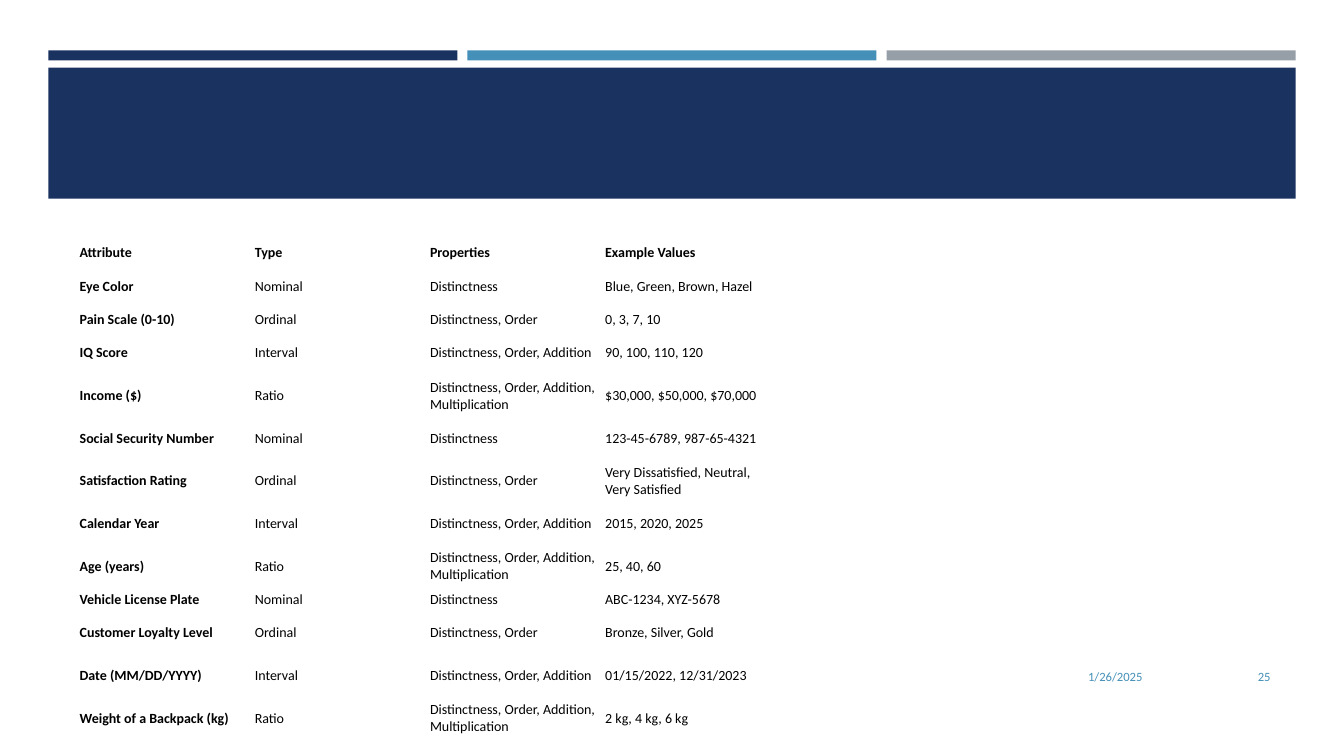
import pptx
import pptx.util
import pptx.dml.color
import pptx.enum.shapes
import pptx.enum.text

Inches = pptx.util.Inches
COLORS = {"navy": "1A3260", "blue": "4590B8", "gray": "969FA7", "text": "000000"}
FONT = "Calibri"
NAMES = "Distinctness", "Order", "Addition", "Multiplication"
# Each measurement type adds one more property
PROPERTIES = {
    kind: ", ".join(NAMES[:count])
    for count, kind in enumerate(("Nominal", "Ordinal", "Interval", "Ratio"), 1)
}
HEADINGS = "Attribute", "Type", "Properties", "Example Values"
ATTRIBUTES = [
    ("Eye Color", "Nominal", "Blue, Green, Brown, Hazel"),
    ("Pain Scale (0-10)", "Ordinal", "0, 3, 7, 10"),
    ("IQ Score", "Interval", "90, 100, 110, 120"),
    ("Income ($)", "Ratio", "$30,000, $50,000, $70,000"),
    ("Social Security Number", "Nominal", "123-45-6789, 987-65-4321"),
    ("Satisfaction Rating", "Ordinal", "Very Dissatisfied, Neutral, Very Satisfied"),
    ("Calendar Year", "Interval", "2015, 2020, 2025"),
    ("Age (years)", "Ratio", "25, 40, 60"),
    ("Vehicle License Plate", "Nominal", "ABC-1234, XYZ-5678"),
    ("Customer Loyalty Level", "Ordinal", "Bronze, Silver, Gold"),
    ("Date (MM/DD/YYYY)", "Interval", "01/15/2022, 12/31/2023"),
    ("Weight of a Backpack (kg)", "Ratio", "2 kg, 4 kg, 6 kg"),
]
SHORT_ROWS = {0, 2, 9}
SHORT_HEIGHT = 0.24


def rgb(name):
    return pptx.dml.color.RGBColor.from_string(COLORS[name])


def set_font(paragraph, size, color, bold=False):
    paragraph.font.name = FONT
    paragraph.font.size = pptx.util.Pt(size)
    paragraph.font.color.rgb = rgb(color)
    paragraph.font.bold = bold


def add_band(slide, box, color):
    band = slide.shapes.add_shape(
        pptx.enum.shapes.MSO_SHAPE.RECTANGLE, *map(Inches, box))
    band.shadow.inherit = False
    band.fill.solid()
    band.fill.fore_color.rgb = rgb(color)
    band.line.fill.background()


def add_header(slide, box):
    """Three accent bars above a full-width banner."""
    left, top, width, height = box
    gap, bar_height, banner_offset = 0.1, 0.1, 0.17
    bar_width = (width - 2 * gap) / 3
    for column, color in enumerate(("navy", "blue", "gray")):
        bar_left = left + column * (bar_width + gap)
        add_band(slide, (bar_left, top, bar_width, bar_height), color)
    add_band(slide, (left, top + banner_offset, width, height - banner_offset), "navy")


def add_attribute_table(slide, box):
    rows = [HEADINGS] + [
        (name, kind, PROPERTIES[kind], values) for name, kind, values in ATTRIBUTES]
    table = slide.shapes.add_table(
        len(rows), len(HEADINGS), *map(Inches, box)).table
    table.first_row = table.horz_banding = False
    # Tall rows share the height that the short rows leave
    tall_height = (box[3] - SHORT_HEIGHT * len(SHORT_ROWS)) / (len(rows) - len(SHORT_ROWS))
    for r, texts in enumerate(rows):
        table.rows[r].height = Inches(SHORT_HEIGHT if r in SHORT_ROWS else tall_height)
        for c, text in enumerate(texts):
            cell = table.cell(r, c)
            cell.fill.background()
            cell.margin_left = cell.margin_right = Inches(0.05)
            cell.margin_top = cell.margin_bottom = Inches(0.03)
            cell.vertical_anchor = pptx.enum.text.MSO_ANCHOR.MIDDLE
            cell.text = text
            set_font(cell.text_frame.paragraphs[0], 10, "text", r == 0 or c == 0)


def add_footer(slide, box):
    """Date and slide number, each right-aligned in its part of the box."""
    left, top, width, height = box
    number_width, gap = 1.15, 0.12
    date_width = width - number_width - gap
    for text, offset, part_width in (
            ("1/26/2025", 0, date_width),
            ("25", date_width + gap, number_width)):
        frame = slide.shapes.add_textbox(
            *map(Inches, (left + offset, top, part_width, height))).text_frame
        frame.word_wrap = True
        frame.vertical_anchor = pptx.enum.text.MSO_ANCHOR.MIDDLE
        paragraph = frame.paragraphs[0]
        paragraph.text = text
        paragraph.alignment = pptx.enum.text.PP_ALIGN.RIGHT
        set_font(paragraph, 9, "blue")


def main():
    deck = pptx.Presentation()
    deck.slide_width, deck.slide_height = Inches(13.33), Inches(7.5)
    slide = deck.slides.add_slide(deck.slide_layouts[6])
    add_header(slide, (0.48, 0.5, 12.37, 1.47))
    add_footer(slide, (8.32, 6.51, 4.38, 0.4))
    add_attribute_table(slide, (0.74, 2.39, 6.95, 4.95))
    deck.save("out.pptx")


if __name__ == "__main__":
    main()
